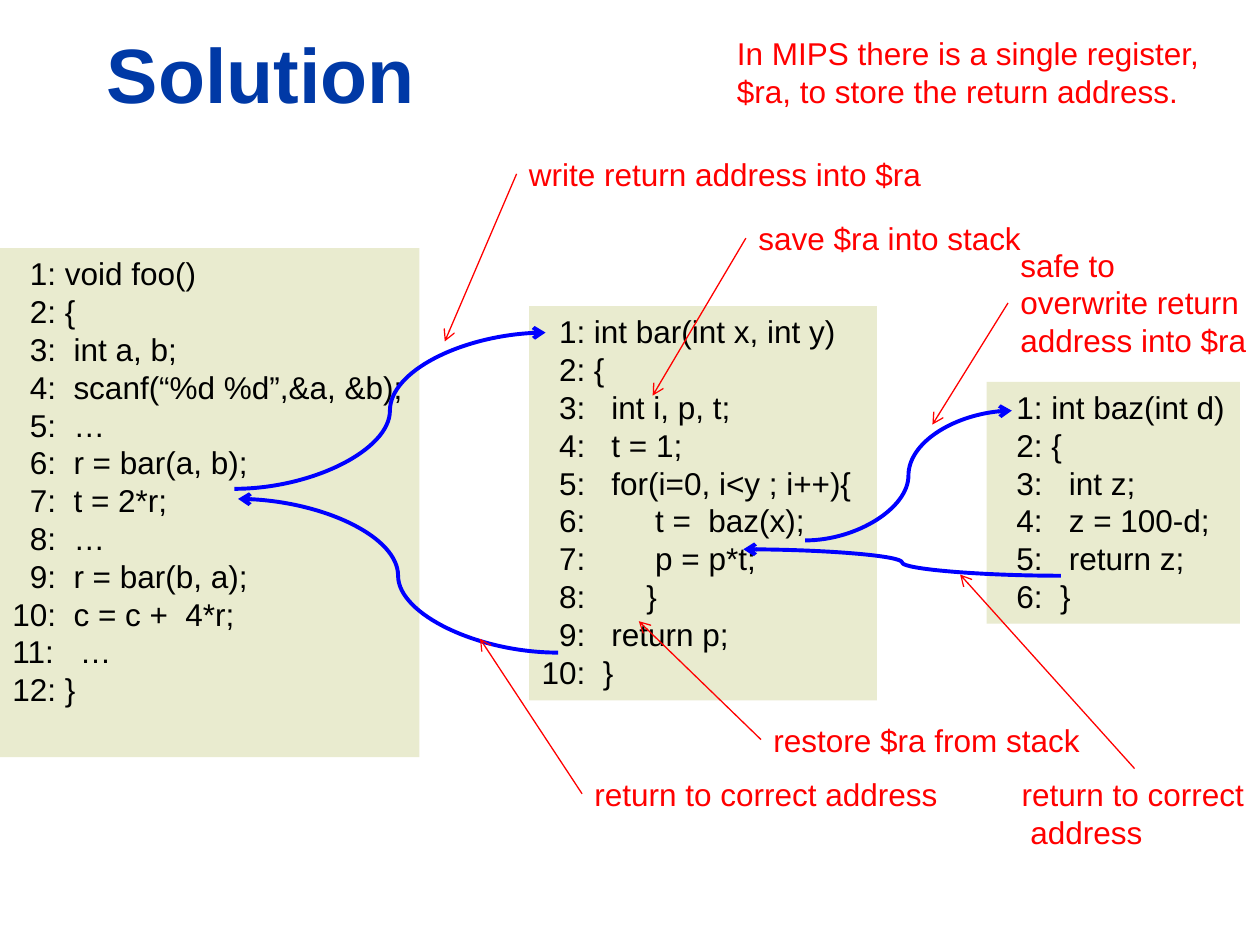
from dataclasses import dataclass

from lxml import etree
from pptx import Presentation
from pptx.dml.color import RGBColor
from pptx.enum import shapes, text
from pptx.oxml import ns
from pptx.util import Inches, Pt

NAVY = RGBColor(0x00, 0x39, 0xA6)
SAGE = RGBColor(0xE9, 0xEB, 0xCF)
BLACK = RGBColor(0x00, 0x00, 0x00)
BLUE = RGBColor(0x00, 0x00, 0xFF)
RED = RGBColor(0xFF, 0x00, 0x00)
WIDTH, HEIGHT = Inches(10), Inches(7.5)
COLS, ROWS = 100, 75
LINE = shapes.MSO_CONNECTOR.STRAIGHT
CURVE = shapes.MSO_CONNECTOR.CURVE


@dataclass(frozen=True)
class Point:
    col: float
    row: float

    def emu(self) -> tuple[int, int]:
        return round(self.col * WIDTH / COLS), round(self.row * HEIGHT / ROWS)


@dataclass(frozen=True)
class Box:
    col: float
    row: float
    wide: float
    high: float

    def emu(self) -> tuple[int, int, int, int]:
        return Point(self.col, self.row).emu() + Point(self.wide, self.high).emu()


@dataclass(frozen=True)
class Code:
    box: Box
    lines: tuple[str, ...]


@dataclass(frozen=True)
class Note:
    box: Box
    lines: tuple[str, ...]
    tip: Point
    top: bool = False

    def start(self) -> Point:
        box = self.box
        if self.top:
            return Point(box.col + box.wide / 2, box.row)
        return Point(box.col, box.row + box.high / 2)


CODES = (
    Code(Box(0, 19.7, 33.3, 40.4), (
        " void foo()", " {", "  int a, b;", "  scanf(“%d %d”,&a, &b);", "  …",
        "  r = bar(a, b);", "  t = 2*r;", "  …", "  r = bar(b, a);",
        "  c = c +  4*r;", "   …", " }")),
    Code(Box(42, 24.3, 27.6, 31.3), (
        " int bar(int x, int y)", " {", "   int i, p, t;", "   t = 1;",
        "   for(i=0, i<y ; i++){", "        t =  baz(x);", "        p = p*t;",
        "       }", "   return p;", "  }")),
    Code(Box(78.3, 30.3, 20.1, 19.2), (
        " int baz(int d)", " {", "   int z;", "   z = 100-d;", "   return z;", "  }")),
)
CALLS = (
    (Point(18.6, 38.8), Point(43.3, 26.4)),
    (Point(63.9, 42.9), Point(80.3, 32.6)),
    (Point(84.2, 45.7), Point(59, 43.6)),
    (Point(44.3, 51.8), Point(18.9, 39.6)),
)
NOTES = (
    Note(Box(41, 11.8, 35, 4), ("write return address into $ra",), Point(35.3, 27.1)),
    Note(Box(80, 19, 20, 10.1), ("safe to overwrite return", "address into $ra"),
         Point(74, 33.7)),
    Note(Box(46.2, 61, 35, 4), ("return to correct address",), Point(38.1, 50.7)),
    Note(Box(59.2, 16.9, 35, 4), ("save $ra into stack",), Point(51.8, 31.4)),
    Note(Box(60.4, 56.7, 35, 4), ("restore $ra from stack",), Point(50.7, 49.3)),
    Note(Box(80.1, 61, 19.9, 7.1), ("return to correct", " address"),
         Point(76.2, 45.6), top=True),
)


def write(shape, lines: tuple[str, ...], color: RGBColor, size: int = 18,
          bold: bool = False, anchor=text.MSO_ANCHOR.TOP) -> None:
    frame = shape.text_frame
    frame.word_wrap = True
    frame.vertical_anchor = anchor
    frame.text = "\n".join(lines)
    for para in frame.paragraphs:
        para.alignment = text.PP_ALIGN.LEFT
        font = para.font
        font.name, font.size, font.bold = "Arial", Pt(size), bold
        font.color.rgb = color


def label(slide, box: Box, lines: tuple[str, ...], color: RGBColor, **style) -> None:
    write(slide.shapes.add_textbox(*box.emu()), lines, color, **style)


def panel(slide, code: Code) -> None:
    shape = slide.shapes.add_shape(shapes.MSO_SHAPE.RECTANGLE, *code.box.emu())
    shape.shadow.inherit = False
    shape.fill.solid()
    shape.fill.fore_color.rgb = SAGE
    shape.line.fill.background()
    lines = tuple(f"{'  ' if num < 10 else ''}{num}:{line}"
                  for num, line in enumerate(code.lines, 1))
    write(shape, lines, BLACK)


def arrow(slide, kind, start: Point, end: Point, color: RGBColor, width: float) -> None:
    link = slide.shapes.add_connector(kind, *start.emu(), *end.emu())
    link.line.color.rgb = color
    link.line.width = Pt(width)
    tail = etree.SubElement(link.line._get_or_add_ln(), ns.qn("a:tailEnd"))
    tail.set("type", "arrow")
    etree.SubElement(link._element.spPr, ns.qn("a:effectLst"))


def main() -> None:
    deck = Presentation()
    deck.slide_width, deck.slide_height = WIDTH, HEIGHT
    slide = deck.slides.add_slide(deck.slide_layouts[6])
    label(slide, Box(7.5, 1.6, 90.3, 8.3), ("Solution",), NAVY,
          size=44, bold=True, anchor=text.MSO_ANCHOR.BOTTOM)
    for code in CODES:
        panel(slide, code)
    for start, end in CALLS:
        arrow(slide, CURVE, start, end, BLUE, 2.25)
    label(slide, Box(57.5, 2.2, 39.1, 7.1),
          ("In MIPS there is a single register,", "$ra, to store the return address."), RED)
    for note in NOTES:
        label(slide, note.box, note.lines, RED)
        arrow(slide, LINE, note.start(), note.tip, RED, 0.75)
    deck.save("out.pptx")


if __name__ == "__main__":
    main()
